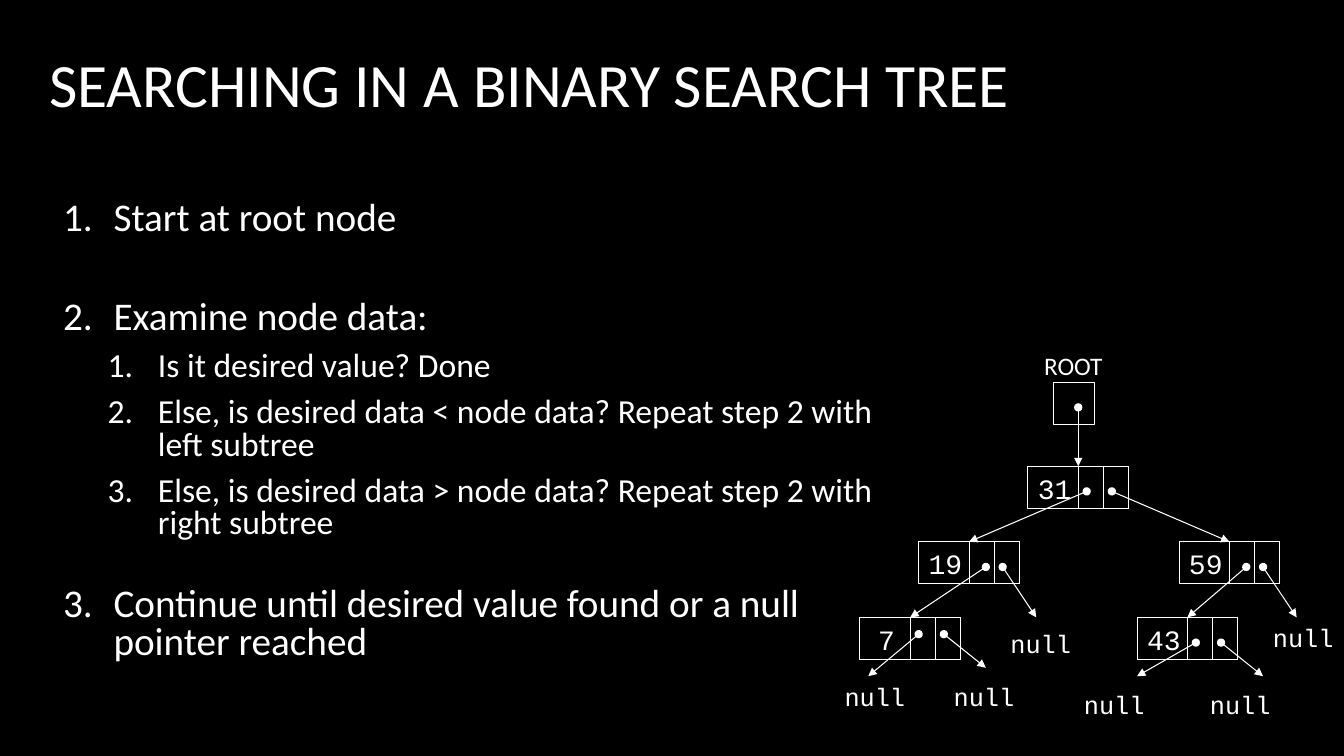
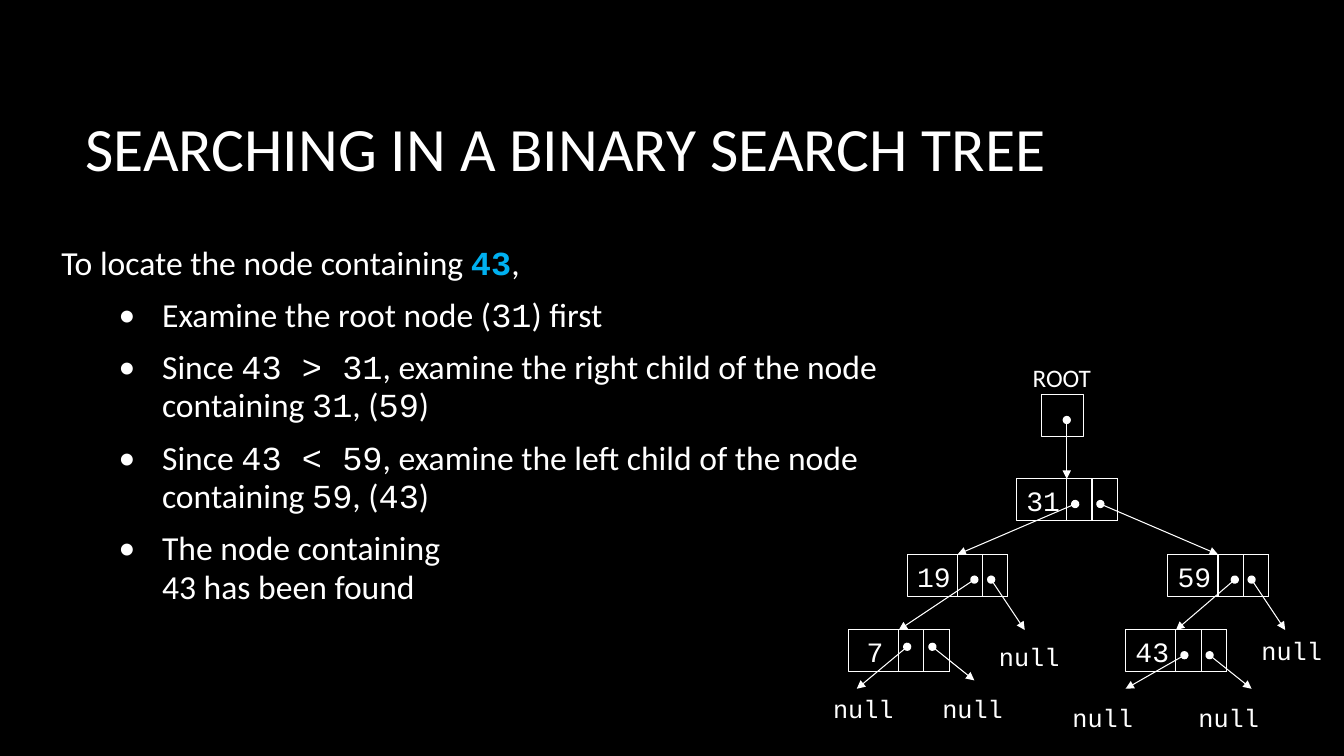
"""Build two slides on searching in a binary search tree."""
from lxml import etree
from pptx import Presentation
from pptx.dml.color import RGBColor
from pptx.enum.shapes import MSO_CONNECTOR, MSO_SHAPE
from pptx.enum.text import MSO_ANCHOR
from pptx.oxml.ns import qn
from pptx.util import Pt

RECTANGLE = MSO_SHAPE.RECTANGLE
STRAIGHT = MSO_CONNECTOR.STRAIGHT
TOP, MIDDLE = MSO_ANCHOR.TOP, MSO_ANCHOR.MIDDLE

BLACK, WHITE, BLUE = "000000", "FFFFFF", "00B0F0"
BODY_FONT, CODE_FONT = "Calibri", "Courier New"
TITLE = "SEARCHING IN A BINARY SEARCH TREE"

UNIT = 6
NODE_WIDTH, POINTER_WIDTH, NODE_HEIGHT = 12, 3, 5
NODES = [("31", 0, 0), ("59", 18, 9), ("19", -13, 9), ("7", -20, 18), ("43", 13, 18)]
LINKS = [
    (6, -7, 6, 0),
    (7, 3, -7, 9), (10, 3, 24, 9),
    (-5, 12, -14, 18), (-3, 12, 1, 18),
    (26, 12, 19, 18), (28, 12, 32, 18),
    (-13, 20, -19, 25), (-10, 20, -5, 24),
    (20, 21, 13, 25), (23, 21, 28, 25),
]
NULLS = [(-3.25, 18.75), (28, 18), (-23, 25), (-10, 25), (5.5, 26), (20.5, 26)]

STEPS = [
    (0, "Start at root node", 44),
    (0, "Examine node data:", 10),
    (1, "Is it desired value? Done", 10),
    (1, "Else, is desired data < node data? Repeat step 2 with left subtree", 10),
    (1, "Else, is desired data > node data? Repeat step 2 with right subtree", 33),
    (0, "Continue until desired value found or a null pointer reached", 0),
]
EXAMPLE = [
    "To locate the node containing `43`,",
    "Examine the root node (`31`) first",
    "Since `43 > 31`, examine the right child of the node containing `31`, (`59`)",
    "Since `43 < 59`, examine the left child of the node containing `59`, (`43`)",
    "The node containing\n43 has been found",
]


def rgb(value):
    """Turn a hex string into a colour."""
    return RGBColor.from_string(value)


def style_span(span, size, font=BODY_FONT, color=WHITE):
    """Set the font, size and colour of a run."""
    span.font.name = font
    span.font.size = Pt(size)
    span.font.color.rgb = rgb(color)


def add_box(shapes, left, top, width, height, anchor=TOP, wrap=True):
    """Add an empty text box."""
    box = shapes.add_textbox(Pt(left), Pt(top), Pt(width), Pt(height))
    box.text_frame.word_wrap = wrap
    box.text_frame.vertical_anchor = anchor
    return box


def add_label(shapes, text, area, size, font=BODY_FONT, anchor=TOP, wrap=False):
    """Add a single-line text box."""
    box = add_box(shapes, *area, anchor, wrap)
    box.text_frame.text = text
    style_span(box.text_frame.paragraphs[0].runs[0], size, font)


def add_bullet(para, tag, left, hanging, **attributes):
    """Give a paragraph a hanging bullet or number."""
    props = para._p.get_or_add_pPr()
    props.set("marL", str(Pt(left)))
    props.set("indent", str(-Pt(hanging)))
    color = etree.SubElement(props, qn("a:buClr"))
    etree.SubElement(color, qn("a:srgbClr"), val=WHITE)
    etree.SubElement(props, qn("a:buFont"), typeface=BODY_FONT)
    etree.SubElement(props, qn(tag), **attributes)


def fill_para(para, text, size, line_spacing, space_after):
    """Fill a paragraph, setting the parts between backticks in the code font."""
    para.line_spacing = line_spacing
    para.space_after = Pt(space_after)
    for line_index, line in enumerate(text.split("\n")):
        if line_index:
            para.add_line_break()
        for index, piece in enumerate(line.split("`")):
            span = para.add_run()
            span.text = piece
            style_span(span, size, CODE_FONT if index % 2 else BODY_FONT)


def next_para(frame, index):
    """Return the first paragraph of a frame, or a new one after it."""
    return frame.add_paragraph() if index else frame.paragraphs[0]


def add_cell(shapes, left, top, width, height):
    """Add an outlined rectangle."""
    cell = shapes.add_shape(RECTANGLE, Pt(left), Pt(top), Pt(width), Pt(height))
    cell.shadow.inherit = False
    cell.fill.background()
    cell.line.color.rgb = rgb(WHITE)
    cell.line.width = Pt(0.75)


def add_link(shapes, *ends):
    """Add an arrow that starts with a dot."""
    link = shapes.add_connector(STRAIGHT, *map(Pt, ends))
    link.line.color.rgb = rgb(WHITE)
    link.line.width = Pt(0.75)
    props = link.element.spPr
    outline = props.find(qn("a:ln"))
    etree.SubElement(outline, qn("a:headEnd"), type="oval")
    etree.SubElement(outline, qn("a:tailEnd"), type="triangle")
    etree.SubElement(props, qn("a:effectLst"))


def add_tree(page, left, top):
    """Draw the tree with its top node at the given point."""
    shapes = page.shapes.add_group_shape().shapes

    def place(x, y):
        """Turn grid units into points on the page."""
        return left + x * UNIT, top + y * UNIT

    height = NODE_HEIGHT * UNIT
    add_cell(shapes, *place(3, -10), height, height)
    for value, x, y in NODES:
        add_cell(shapes, *place(x, y), NODE_WIDTH * UNIT, height)
        for pointers in (1, 2):
            pointer_x = x + NODE_WIDTH - pointers * POINTER_WIDTH
            add_cell(shapes, *place(pointer_x, y), POINTER_WIDTH * UNIT, height)
        label_x = x + 2 - len(value)
        area = (*place(label_x, y), 14.4 + 12 * len(value), 31)
        add_label(shapes, value, area, 20, CODE_FONT)
    for x1, y1, x2, y2 in LINKS:
        add_link(shapes, *place(x1, y1), *place(x2, y2))
    for x, y in NULLS:
        add_label(shapes, "null", (*place(x, y), 57.6, 29), 18, CODE_FONT)
    add_label(page.shapes, "ROOT", (left + 4.5, top - 86.5, 84, 29), 18, wrap=True)


def add_page(deck, title_left, title_top, tree_left, tree_top):
    """Add a black slide with the title and the tree."""
    page = deck.slides.add_slide(deck.slide_layouts[6])
    page.background.fill.solid()
    page.background.fill.fore_color.rgb = rgb(BLACK)
    area = (title_left, title_top, 798, 114.5)
    add_label(page.shapes, TITLE, area, 44, anchor=MIDDLE, wrap=True)
    add_tree(page, tree_left, tree_top)
    return page


def add_steps(page):
    """Add the numbered search steps."""
    frame = add_box(page.shapes, 38, 140, 603, 343).text_frame
    for index, (level, text, space_after) in enumerate(STEPS):
        para = next_para(frame, index)
        para.level = level
        add_bullet(para, "a:buAutoNum", 36 + 31.7 * level, 36, type="arabicPeriod")
        fill_para(para, text, 28 - 4 * level, 0.8, space_after)


def add_example(page):
    """Add the worked example with its bullets."""
    frame = add_box(page.shapes, 36.7, 171, 630, 290).text_frame
    for index, text in enumerate(EXAMPLE):
        para = next_para(frame, index)
        if index:
            para.level = 1
            add_bullet(para, "a:buChar", 72, 31, char="•")
        fill_para(para, text, 24, 0.95, 10)
    target = frame.paragraphs[0].runs[1]
    target.font.bold = True
    target.font.color.rgb = rgb(BLUE)


def main():
    """Build and save the deck."""
    deck = Presentation()
    deck.slide_width, deck.slide_height = Pt(960), Pt(540)
    add_steps(add_page(deck, 28, 2, 734.2, 333))
    add_example(add_page(deck, 54, 48, 726, 342))
    deck.save("out.pptx")


if __name__ == "__main__":
    main()
